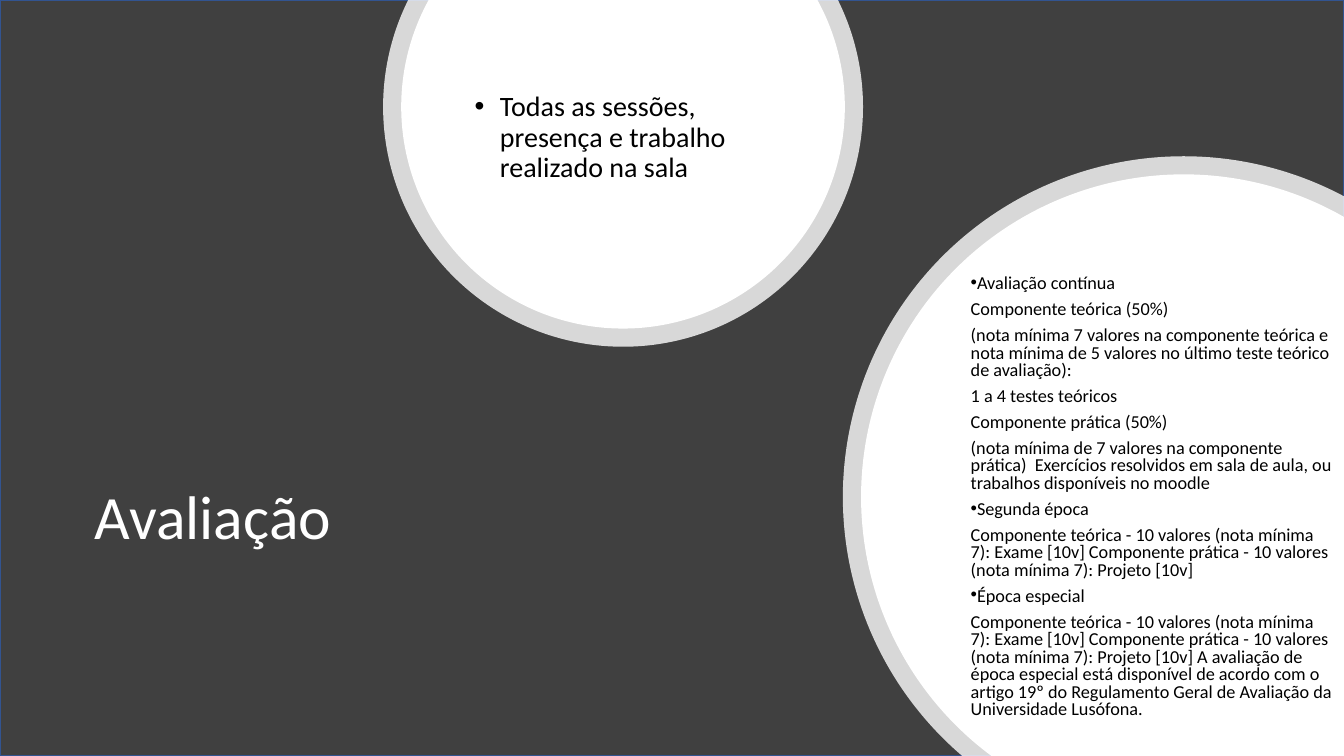
import math
from lxml import etree
from pptx import Presentation
from pptx import util as u
from pptx.dml.color import RGBColor
from pptx.enum import shapes, text
from pptx.oxml.ns import qn

WIDE, HIGH = 13.33, 7.5
RIM = 0.18
PLAN = [
    ("Avaliação contínua", True),
    ("Componente teórica (50%)", False),
    ("(nota mínima 7 valores na componente teórica e nota mínima de 5 valores "
     "no último teste teórico de avaliação):", False),
    ("1 a 4 testes teóricos", False),
    ("Componente prática (50%)", False),
    ("(nota mínima de 7 valores na componente prática)  Exercícios resolvidos "
     "em sala de aula, ou trabalhos disponíveis no moodle", False),
    ("Segunda época", True),
    ("Componente teórica - 10 valores (nota mínima 7): Exame [10v] "
     "Componente prática - 10 valores (nota mínima 7): Projeto [10v]", False),
    ("Época especial", True),
    ("Componente teórica - 10 valores (nota mínima 7): Exame [10v] "
     "Componente prática - 10 valores (nota mínima 7): Projeto [10v] "
     "A avaliação de época especial está disponível de acordo com o artigo 19º "
     "do Regulamento Geral de Avaliação da Universidade Lusófona.", False),
]


def paint(fill, code):
    fill.solid()
    fill.fore_color.rgb = RGBColor.from_string(code)


def put(item, vals):
    for key, val in vals.items():
        setattr(item, key, val)


def place(shape, box):
    put(shape, dict(zip(("left", "top", "width", "height"), map(u.Inches, box))))


def bullet(para, left):
    props = para._p.get_or_add_pPr()
    props.set("marL", str(u.Inches(left)))
    props.set("indent", str(u.Inches(-0.25)))
    etree.SubElement(props, qn("a:buFont")).set("typeface", "Arial")
    etree.SubElement(props, qn("a:buChar")).set("char", "•")


def write(frame, rows, size, code, left=0, **form):
    put(frame, {"word_wrap": True, "auto_size": text.MSO_AUTO_SIZE.NONE,
                "vertical_anchor": text.MSO_ANCHOR.MIDDLE})
    for i, (line, dot) in enumerate(rows):
        para = frame.add_paragraph() if i else frame.paragraphs[0]
        para.text = line
        put(para, {"alignment": text.PP_ALIGN.LEFT, **form})
        if dot:
            bullet(para, left)
        put(para.font, {"name": "Calibri", "size": u.Pt(size)})
        para.font.color.rgb = RGBColor.from_string(code)


def angles(x, y, rad):
    """Clockwise stops, in degrees, of the arc that lies on the slide."""
    if y < rad:
        cut = math.degrees(math.asin(y / rad))
        return [-cut, 0, 90, 180, 180 + cut]
    low = math.degrees(math.asin((HIGH - y) / rad))
    side = math.degrees(math.acos((WIDE - x) / rad))
    return [180 - low, 180, 270, 360 - side]


def disc(slide, x, y, rad, alpha=None):
    """A white circle cut off at the slide edges."""
    stops = angles(x, y, rad)
    pts = [(u.Inches(x + rad * math.cos(math.radians(deg))),
            u.Inches(y + rad * math.sin(math.radians(deg)))) for deg in stops]
    if y > rad:
        pts.append((u.Inches(WIDE), u.Inches(HIGH)))
    pen = slide.shapes.build_freeform(*pts[0], scale=1.0)
    pen.add_line_segments(pts[1:], close=True)
    shape = pen.convert_to_shape()
    # Bend the sides between the stops into arcs
    sides = shape._element.spPr.findall(".//" + qn("a:lnTo"))
    for side, start, end in zip(sides, stops, stops[1:]):
        arc = etree.Element(qn("a:arcTo"))
        vals = {"wR": u.Inches(rad), "hR": u.Inches(rad),
                "stAng": round(start % 360 * 60000),
                "swAng": round((end - start) * 60000)}
        for key, val in vals.items():
            arc.set(key, str(int(val)))
        side.getparent().replace(side, arc)
    shape.shadow.inherit = False
    paint(shape.fill, "FFFFFF")
    shape.line.fill.background()
    if alpha:
        tint = shape._element.spPr.find(".//" + qn("a:srgbClr"))
        etree.SubElement(tint, qn("a:alpha")).set("val", str(alpha * 1000))


def bubble(slide, x, y, rad, box, rows, size, **form):
    # Rim, face, then the text
    disc(slide, x, y, rad, alpha=80)
    disc(slide, x, y, rad - RIM)
    area = slide.shapes.add_textbox(*map(u.Inches, box))
    write(area.text_frame, rows, size, "000000", **form)


def heading(slide, box):
    title = slide.shapes.title
    place(title, box)
    write(title.text_frame, [("Avaliação", False)], 44, "FFFFFF", line_spacing=0.9)


def backdrop(slide, box):
    paint(slide.background.fill, "FFFF00")
    panel = slide.shapes.add_shape(shapes.MSO_SHAPE.RECTANGLE, *map(u.Inches, box))
    panel.shadow.inherit = False
    paint(panel.fill, "404040")
    paint(panel.line.fill, "325491")
    panel.line.width = u.Pt(1)
    # Keep the panel behind the title
    slide.shapes.title._element.addprevious(panel._element)


def main():
    deck = Presentation()
    put(deck, {"slide_width": u.Inches(WIDE), "slide_height": u.Inches(HIGH)})
    slide = deck.slides.add_slide(deck.slide_layouts[5])
    backdrop(slide, (0, 0, WIDE, HIGH))
    heading(slide, (0.84, 3.83, 6.62, 2.65))
    # Attendance
    bubble(slide, 6.18, 1.06, 2.38, (4.61, 0.39, 3.15, 1.96),
           [("Todas as sessões, presença e trabalho realizado na sala", True)],
           20, left=0.25, line_spacing=0.9)
    # Grading rules
    bubble(slide, 11.74, 4.93, 3.38, (9.53, 2.48, 3.8, 4.91), PLAN, 13,
           line_spacing=0.8, space_after=u.Pt(6))
    deck.save("out.pptx")


if __name__ == "__main__":
    main()
